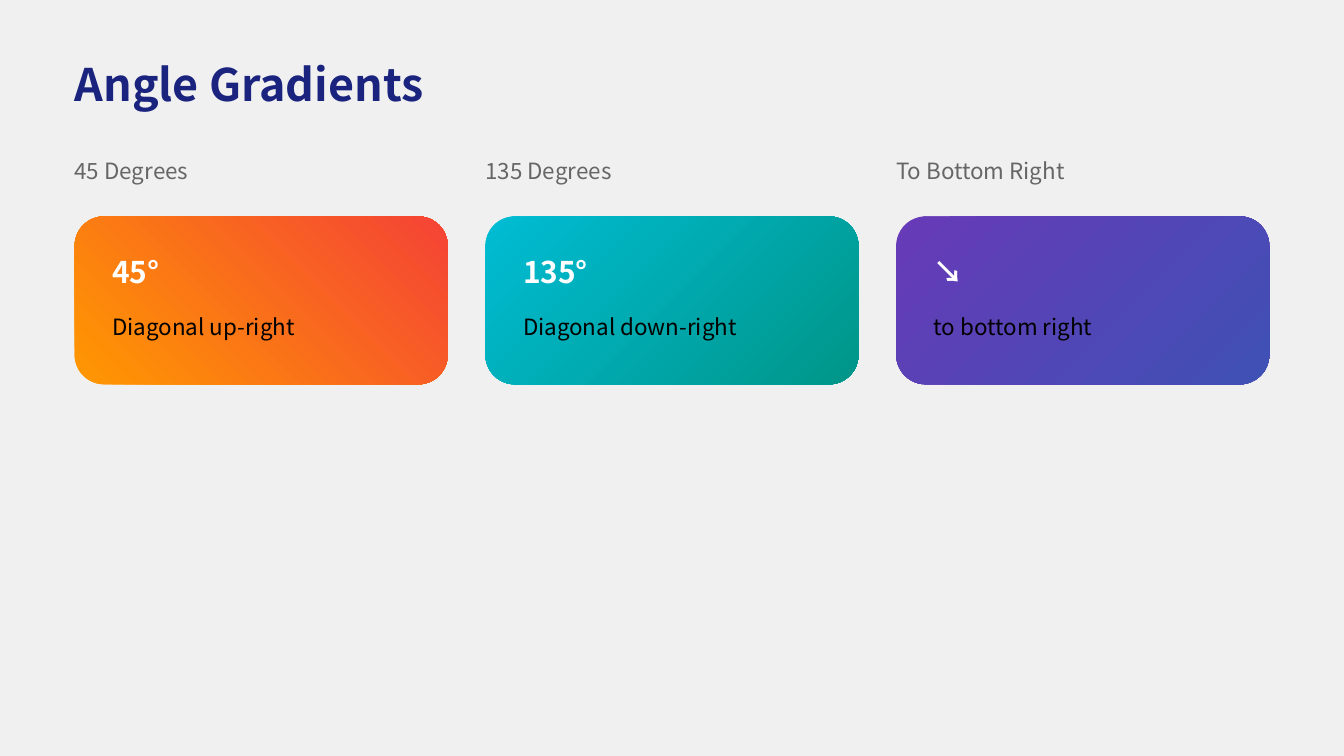
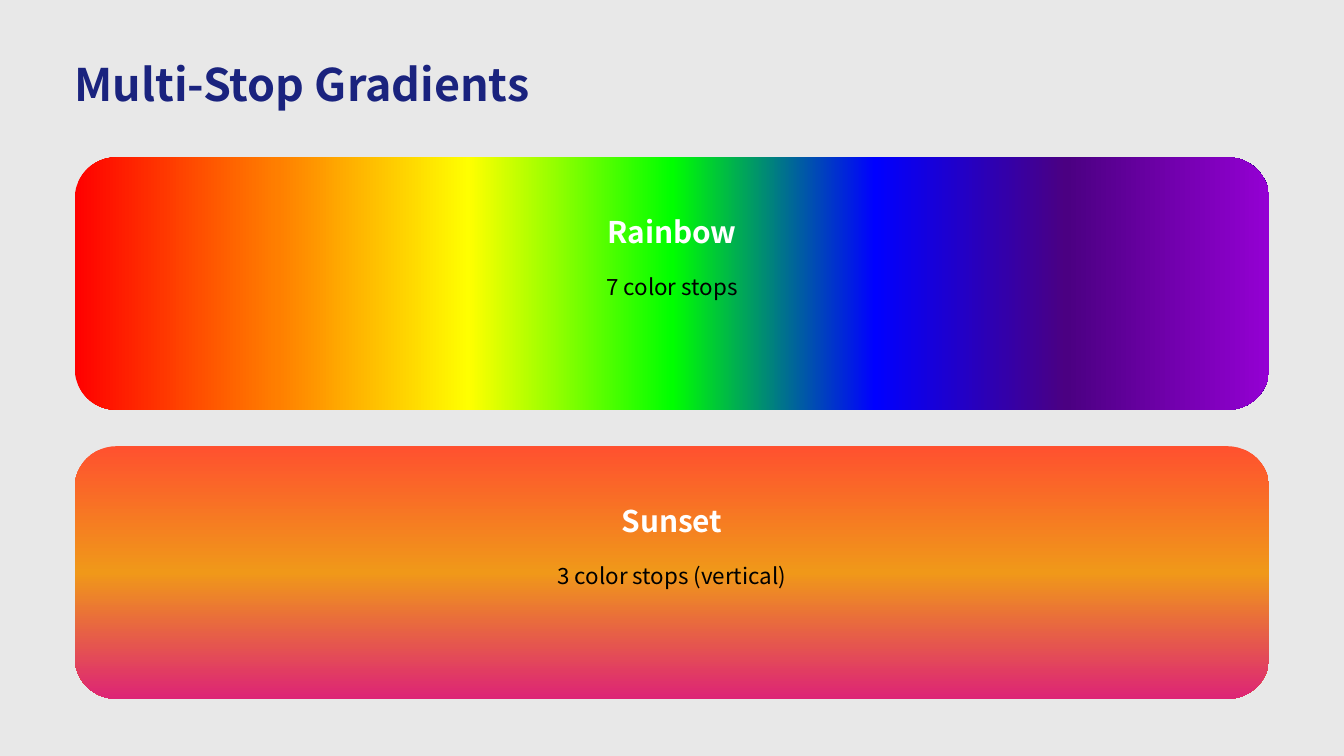
from dataclasses import dataclass

from lxml import etree
from pptx import Presentation
from pptx import util as u
from pptx.dml.color import RGBColor
from pptx.enum import shapes, text
from pptx.oxml import ns

FONT = "Noto Sans CJK SC"
COLORS = {
    "title": "1A237E",
    "label": "666666",
    "heading": "FFFFFF",
    "caption": "000000",
    "angle_background": "F0F0F0",
    "stops_background": "E8E8E8",
}
SLIDE_WIDTH = 10
SLIDE_HEIGHT = SLIDE_WIDTH * 9 / 16
MARGIN = 5 / 9
CONTENT_WIDTH = SLIDE_WIDTH - 2 * MARGIN
CONTENT_TOP = 1.17
CARD_TOP = 1.61
CARD_GAP = 0.28
CARD_HEIGHT = 1.25
BAND_GAP = 0.27
BAND_HEIGHT = 1.88
CAPTION_OFFSET = 0.44


@dataclass(frozen=True)
class Gradient:
    """Evenly spaced colours; the angle runs clockwise from left-to-right."""
    colors: tuple[str, ...]
    angle: int


@dataclass(frozen=True)
class Panel:
    heading: str
    caption: str
    gradient: Gradient
    label: str = ""


@dataclass(frozen=True)
class PanelStyle:
    radius: float
    padding: float
    align: text.PP_ALIGN


CARD_STYLE = PanelStyle(0.22, 0.28, text.PP_ALIGN.LEFT)
BAND_STYLE = PanelStyle(0.31, 0.42, text.PP_ALIGN.CENTER)

CARDS = (
    Panel("45°", "Diagonal up-right", Gradient(("FF9800", "F44336"), 315), "45 Degrees"),
    Panel("135°", "Diagonal down-right", Gradient(("00BCD4", "009688"), 45), "135 Degrees"),
    Panel("↘", "to bottom right", Gradient(("673AB7", "3F51B5"), 45), "To Bottom Right"),
)
RAINBOW = ("FF0000", "FF7F00", "FFFF00", "00FF00", "0000FF", "4B0082", "9400D3")
BANDS = (
    Panel("Rainbow", "7 color stops", Gradient(RAINBOW, 0)),
    Panel("Sunset", "3 color stops (vertical)", Gradient(("FF512F", "F09819", "DD2476"), 90)),
)


def add_text(parent, content: str, left: float, top: float, width: float, height: float, *,
             color: str, size: int = 12, bold: bool = False,
             align: text.PP_ALIGN = text.PP_ALIGN.LEFT) -> None:
    box = parent.shapes.add_textbox(*map(u.Inches, (left, top, width, height)))
    frame = box.text_frame
    frame.word_wrap = True
    frame.margin_left = frame.margin_right = frame.margin_top = frame.margin_bottom = 0
    paragraph = frame.paragraphs[0]
    paragraph.alignment = align
    run = paragraph.add_run()
    run.text = content
    run.font.size = u.Pt(size)
    run.font.bold = bold
    run.font.color.rgb = RGBColor.from_string(COLORS[color])
    run.font.name = FONT
    etree.SubElement(run.font._element, ns.qn("a:ea"), typeface=FONT)


def fill_gradient(shape, gradient: Gradient) -> None:
    shape.fill.gradient()
    grad_fill = shape._element.spPr.find(ns.qn("a:gradFill"))
    stop_list = grad_fill.find(ns.qn("a:gsLst"))
    for stop in list(stop_list):
        stop_list.remove(stop)
    last = len(gradient.colors) - 1
    for index, color in enumerate(gradient.colors):
        position = round(100 * index / last) * 1000
        stop = etree.SubElement(stop_list, ns.qn("a:gs"), pos=str(position))
        etree.SubElement(stop, ns.qn("a:srgbClr"), val=color)
    direction = grad_fill.find(ns.qn("a:lin"))
    direction.set("ang", str(gradient.angle * 60000))
    direction.set("scaled", "0")


def add_panel(group, panel: Panel, style: PanelStyle,
              left: float, top: float, width: float, height: float) -> None:
    """Draw a rounded gradient panel with its heading and caption."""
    shape = group.shapes.add_shape(shapes.MSO_SHAPE.ROUNDED_RECTANGLE,
                                   *map(u.Inches, (left, top, width, height)))
    shape.adjustments[0] = style.radius / height
    shape.shadow.inherit = False
    shape.line.fill.background()
    fill_gradient(shape, panel.gradient)

    text_left = left + style.padding
    text_top = top + style.padding
    text_width = width - 2 * style.padding
    add_text(group, panel.heading, text_left, text_top, text_width, 0.32,
             color="heading", size=16, bold=True, align=style.align)
    add_text(group, panel.caption, text_left, text_top + CAPTION_OFFSET, text_width, 0.25,
             color="caption", align=style.align)


def add_titled_slide(presentation, title: str, background: str):
    slide = presentation.slides.add_slide(presentation.slide_layouts[6])
    fill = slide.background.fill
    fill.solid()
    fill.fore_color.rgb = RGBColor.from_string(COLORS[background])
    add_text(slide, title, MARGIN, 0.42, CONTENT_WIDTH, 0.47,
             color="title", size=24, bold=True)
    return slide


def build_angle_slide(presentation) -> None:
    slide = add_titled_slide(presentation, "Angle Gradients", "angle_background")
    group = slide.shapes.add_group_shape()
    width = (CONTENT_WIDTH - CARD_GAP * (len(CARDS) - 1)) / len(CARDS)
    for column, card in enumerate(CARDS):
        left = MARGIN + column * (width + CARD_GAP)
        add_text(group, card.label, left, CONTENT_TOP, width, 0.25, color="label")
        add_panel(group, card, CARD_STYLE, left, CARD_TOP, width, CARD_HEIGHT)


def build_stops_slide(presentation) -> None:
    slide = add_titled_slide(presentation, "Multi-Stop Gradients", "stops_background")
    for row, band in enumerate(BANDS):
        top = CONTENT_TOP + row * (BAND_HEIGHT + BAND_GAP)
        add_panel(slide.shapes.add_group_shape(), band, BAND_STYLE,
                  MARGIN, top, CONTENT_WIDTH, BAND_HEIGHT)


def main() -> None:
    presentation = Presentation()
    presentation.slide_width = u.Inches(SLIDE_WIDTH)
    presentation.slide_height = u.Inches(SLIDE_HEIGHT)
    build_angle_slide(presentation)
    build_stops_slide(presentation)
    presentation.save("out.pptx")


if __name__ == "__main__":
    main()
